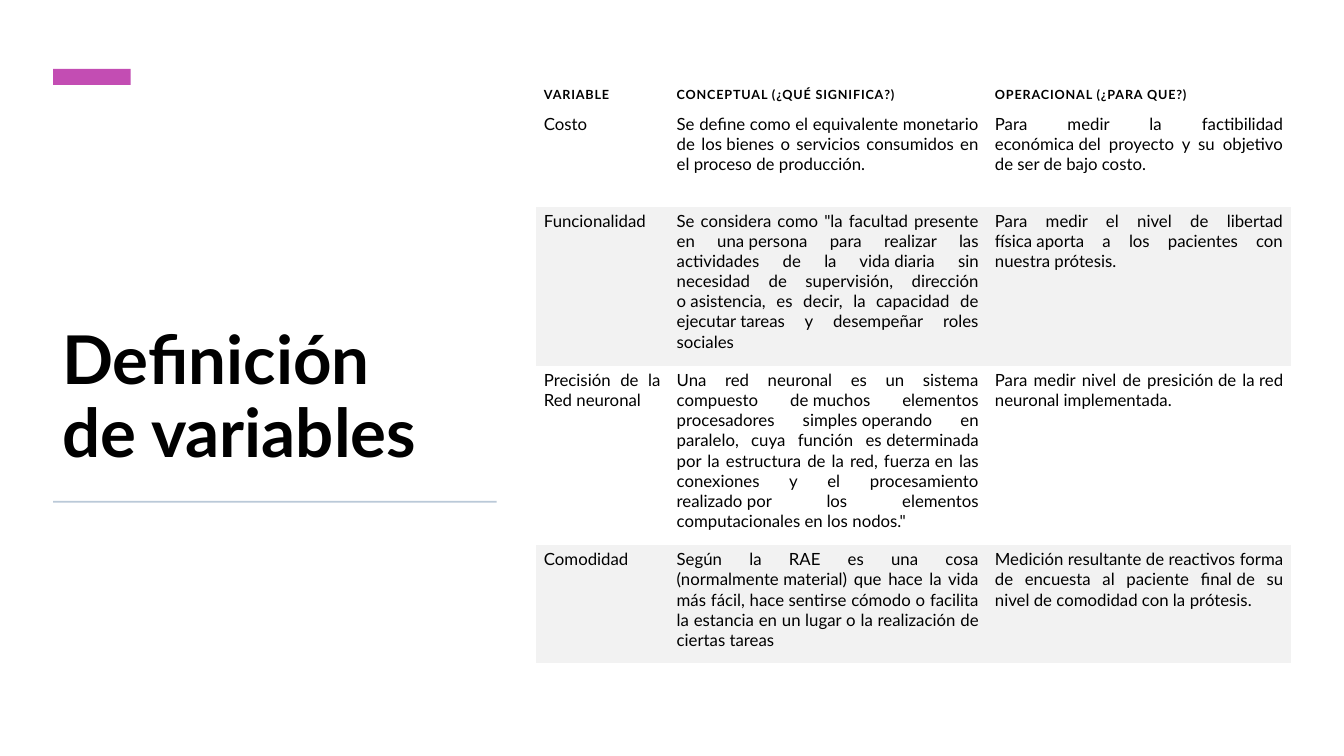
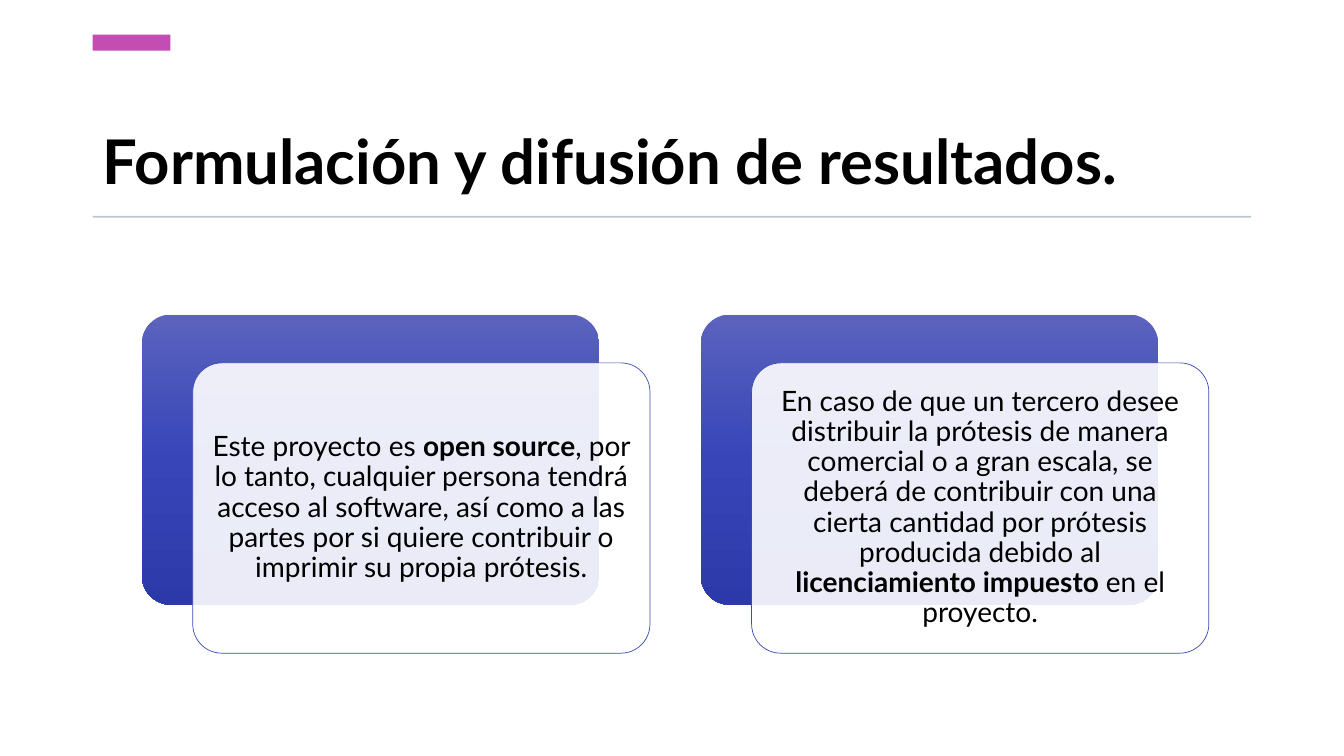
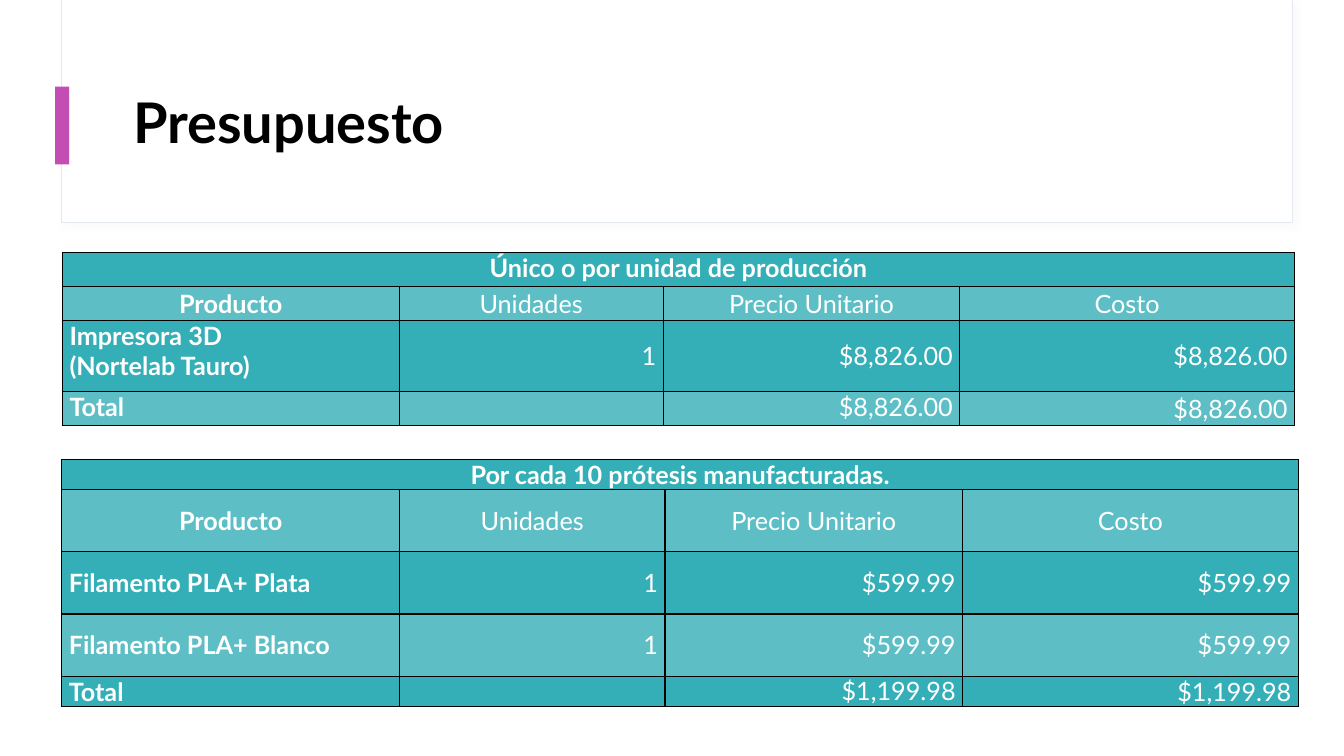
from copy import deepcopy

from lxml import etree
from pptx import Presentation
from pptx import util as u
from pptx.dml.color import RGBColor
from pptx.enum import shapes, text
from pptx.oxml.ns import qn

COLORS = {
    "ink": "000000", "paper": "FFFFFF", "accent": "C34DB3", "rule": "BAC9D8",
    "band": "F2F2F2", "card line": "3D4AB2", "panel line": "E3E9EF",
    "shadow": "D9D9D9", "teal": "34AFB7", "light teal": "5DBFC5",
}
RGB = {name: RGBColor.from_string(value) for name, value in COLORS.items()}
CARD_GRADIENT = [(0, "5B63BD"), (0.5, "3745B8"), (1, "2C3AA9")]
FONT = "Lato"
ALIGN, ANCHOR = text.PP_ALIGN, text.MSO_ANCHOR
RECT = shapes.MSO_SHAPE.RECTANGLE
ROUND = shapes.MSO_SHAPE.ROUNDED_RECTANGLE
# A tilde in the wording below stands for a no-break space
NO_BREAK = {ord("~"): chr(160)}

deck = Presentation()
deck.slide_width, deck.slide_height = u.Inches(13.33), u.Inches(7.5)
# One column is 1 % of the slide's width, one row 1 % of its height
COLUMN, ROW = deck.slide_width / 100, deck.slide_height / 100


def add_block(page, kind, frame, fill):
    left, top, width, height = frame
    block = page.shapes.add_shape(kind, int(left * COLUMN), int(top * ROW),
                                  int(width * COLUMN), int(height * ROW))
    block.shadow.inherit = False
    block.fill.solid()
    block.fill.fore_color.rgb = RGB[fill]
    block.line.fill.background()
    return block


def add_grid(page, left, top, columns, rows, lines, margins):
    """Add an unstyled table with its text; margins are left, top, right, bottom."""
    table = page.shapes.add_table(
        len(rows), len(columns), int(left * COLUMN), int(top * ROW),
        int(sum(columns) * COLUMN), int(sum(rows) * ROW)).table
    table.first_row = table.horz_banding = False
    style = table._tbl.tblPr.find(qn("a:tableStyleId"))
    style.text = "{2D5ABB26-0587-4C30-8999-92F81FD0307C}"
    for column, width in zip(table.columns, columns):
        column.width = int(width * COLUMN)
    for row, height, words in zip(table.rows, rows, lines):
        row.height = int(height * ROW)
        for cell, word in zip(row.cells, words):
            cell.margin_left, cell.margin_top, cell.margin_right, cell.margin_bottom = (
                u.Inches(margin) for margin in margins)
            cell.text_frame.text = word.translate(NO_BREAK)
            cell.text_frame.paragraphs[0].font.name = FONT
    return table


# Pages: title, accent bar and rule
PAGES = [
    # title, size, anchor, title frame, accent frame, rule frame
    ("Definición de~variables", 48, ANCHOR.BOTTOM, (3.9, 16.4, 33, 46.67),
     (3.95, 9.13, 5.78, 2.1), (3.95, 66.25, 33, 0.25)),
    ("Formulación y difusión de resultados.~", 44, ANCHOR.BOTTOM,
     (6.9, 9.9, 86.2, 16.93), (6.9, 4.6, 5.78, 2.1), (6.9, 28.55, 86.2, 0.25)),
    ("Presupuesto", 40, ANCHOR.MIDDLE, (9.18, 8, 83.4, 17.2),
     (4.1, 11.47, 1.05, 10.27), None),
]
pages = []
for title, size, anchor, title_frame, accent_frame, rule_frame in PAGES:
    page = deck.slides.add_slide(deck.slide_layouts[6])
    pages.append(page)
    if rule_frame:
        add_block(page, RECT, rule_frame, "rule")
    else:
        # Title panel with a soft shadow
        panel = add_block(page, RECT, (4.58, 0, 91.58, 29.47), "paper")
        panel.line.color.rgb = RGB["panel line"]
        panel.line.width = u.Pt(0.75)
        effects = panel._element.spPr.find(qn("a:effectLst"))
        shadow = etree.SubElement(effects, qn("a:outerShdw"), blurRad=str(u.Pt(4)),
                                  dist=str(u.Pt(3)), dir="2700000")
        tint = etree.SubElement(shadow, qn("a:srgbClr"), val=COLORS["shadow"])
        etree.SubElement(tint, qn("a:alpha"), val="10000")
    add_block(page, RECT, accent_frame, "accent")
    left, top, width, height = title_frame
    box = page.shapes.add_textbox(int(left * COLUMN), int(top * ROW),
                                  int(width * COLUMN), int(height * ROW))
    box.text_frame.word_wrap = True
    box.text_frame.vertical_anchor = anchor
    para = box.text_frame.paragraphs[0]
    para.text = title.translate(NO_BREAK)
    para.line_spacing = 0.9
    para.font.name, para.font.size, para.font.bold = FONT, u.Pt(size), True
    para.font.color.rgb = RGB["ink"]
variables_page, results_page, budget_page = pages

# Variables table
VARIABLES = [
    ("VARIABLE", "CONCEPTUAL (¿QUÉ SIGNIFICA?)", "OPERACIONAL~(¿PARA QUE?)"),
    ("Costo",
     "Se define como el equivalente monetario de los~bienes o servicios consumidos "
     "en el proceso de~producción.",
     "Para medir la factibilidad económica~del proyecto y su objetivo de ser "
     "de~bajo costo."),
    ("Funcionalidad",
     'Se considera como "la facultad presente en una~persona para realizar las '
     "actividades de la vida~diaria sin necesidad de supervisión, dirección "
     "o~asistencia, es decir, la capacidad de ejecutar~tareas y desempeñar roles "
     "sociales",
     "Para medir el nivel de libertad física~aporta a los pacientes con "
     "nuestra~prótesis."),
    ("Precisión de la Red neuronal",
     "Una red neuronal es un sistema compuesto de~muchos elementos procesadores "
     "simples~operando en paralelo, cuya función es~determinada por la estructura "
     "de la red, fuerza~en las conexiones y el procesamiento realizado~por los "
     'elementos computacionales en los~nodos."~',
     "Para medir nivel de presición~de la~red neuronal implementada."),
    ("Comodidad",
     "Según la RAE es una cosa (normalmente~material) que hace la vida más fácil, "
     "hace~sentirse cómodo o facilita la estancia en un~lugar o la realización de "
     "ciertas tareas",
     "Medición resultante de reactivos~forma de encuesta al paciente final~de su "
     "nivel de comodidad con la~prótesis."),
]
table = add_grid(variables_page, 39.87, 10, [9.88, 23.68, 22.65],
                 [4.53, 12.8, 21.07, 23.73, 15.6], VARIABLES, (0.08, 0.04, 0.08, 0.08))
for index, row in enumerate(table.rows):
    heading = index == 0
    for cell in row.cells:
        cell.fill.solid()
        cell.fill.fore_color.rgb = RGB["band" if index in (2, 4) else "paper"]
        para = cell.text_frame.paragraphs[0]
        para.alignment = ALIGN.JUSTIFY
        para.font.size, para.font.bold = u.Pt(9 if heading else 12), heading
        para.font.color.rgb = RGB["ink"]
        if heading:
            cell.vertical_anchor = ANCHOR.BOTTOM
            cell.margin_top = u.Inches(0.08)
            para.font._element.set("spc", "60")

# Result cards: each text is plain, bold, plain
CARDS = [
    ("Este proyecto es ", "open source",
     ", por lo tanto, cualquier persona tendrá acceso al software, así como a las "
     "partes por si quiere contribuir o imprimir su propia prótesis."),
    ("En caso de que un tercero desee distribuir la prótesis de manera comercial o a "
     "gran escala, se deberá de contribuir con una cierta cantidad por prótesis "
     "producida debido al ", "licenciamiento impuesto ", "en el proyecto."),
]
for index, parts in enumerate(CARDS):
    left, top, width, height = 10.56 + index * 41.58, 41.6, 34.02, 38.4
    back = add_block(results_page, ROUND, (left, top, width, height), "paper")
    front = add_block(results_page, ROUND, (left + 3.78, top + 6.4, width, height), "paper")
    back.adjustments[0] = front.adjustments[0] = 0.1

    back.fill.gradient()
    back.fill.gradient_angle = 270
    stops = back._element.spPr.find(".//" + qn("a:gsLst"))
    stops.append(deepcopy(stops[0]))
    for stop, (position, color) in zip(back.fill.gradient_stops, CARD_GRADIENT):
        stop.position = position
        stop.color.rgb = RGBColor.from_string(color)

    tint = front._element.spPr.find(qn("a:solidFill"))[0]
    etree.SubElement(tint, qn("a:alpha"), val="90000")
    front.line.color.rgb = RGB["card line"]
    front.line.width = u.Pt(0.5)
    frame = front.text_frame
    frame.word_wrap = True
    frame.vertical_anchor = ANCHOR.MIDDLE
    frame.margin_left = frame.margin_right = u.Inches(0.08)
    frame.margin_top = frame.margin_bottom = u.Inches(0.08)
    para = frame.paragraphs[0]
    para.alignment = ALIGN.CENTER
    para.line_spacing = 0.9
    para.font.name, para.font.size = FONT, u.Pt(20)
    para.font.color.rgb = RGB["ink"]
    for part, words in enumerate(parts):
        span = para.add_run()
        span.text = words
        span.font.bold = part == 1

# Budget tables
HEADINGS = ("Producto", "Unidades", "Precio Unitario", "Costo")
BUDGETS = [
    # left, top, columns, rows, cells anchored at the top, lines
    (4.65, 33.42, [25.05, 19.65, 22.07, 24.9], [4.5, 4.5, 9.38, 4.5],
     {(0, 0), (2, 0), (3, 0), (3, 2)},
     [("Único o por unidad de producción", "", "", ""), HEADINGS,
      ("Impresora 3D\v(Nortelab Tauro)", "1", "$8,826.00", "$8,826.00"),
      ("Total", "", "$8,826.00", "$8,826.00")]),
    (4.6, 60.78, [25.13, 19.75, 22.15, 24.98], [4, 8.22, 8.22, 8.22, 4],
     {(0, 0), (4, 2)},
     [("Por cada 10 prótesis manufacturadas.", "", "", ""), HEADINGS,
      ("Filamento PLA+ Plata", "1", "$599.99", "$599.99"),
      ("Filamento PLA+ Blanco", "1", "$599.99", "$599.99"),
      ("Total", "", "$1,199.98", "$1,199.98")]),
]
for left, top, columns, rows, top_cells, lines in BUDGETS:
    table = add_grid(budget_page, left, top, columns, rows, lines, (0.07, 0, 0.07, 0))
    table.cell(0, 0).merge(table.cell(0, 3))
    for row_index, row in enumerate(table.rows):
        for column_index, cell in enumerate(row.cells):
            at_top = (row_index, column_index) in top_cells
            cell.vertical_anchor = ANCHOR.TOP if at_top else ANCHOR.MIDDLE
            for side in ("a:lnL", "a:lnR", "a:lnT", "a:lnB"):
                border = etree.SubElement(cell._tc.get_or_add_tcPr(), qn(side),
                                          w=str(u.Pt(1)))
                ink = etree.SubElement(border, qn("a:solidFill"))
                etree.SubElement(ink, qn("a:srgbClr"), val=COLORS["ink"])
            cell.fill.solid()
            cell.fill.fore_color.rgb = RGB["light teal" if row_index % 2 else "teal"]
            para = cell.text_frame.paragraphs[0]
            if row_index < 2:
                para.alignment = ALIGN.CENTER
            else:
                para.alignment = ALIGN.RIGHT if column_index else ALIGN.LEFT
            para.font.size, para.font.bold = u.Pt(18), column_index == 0
            para.font.color.rgb = RGB["paper"]

deck.save("out.pptx")
